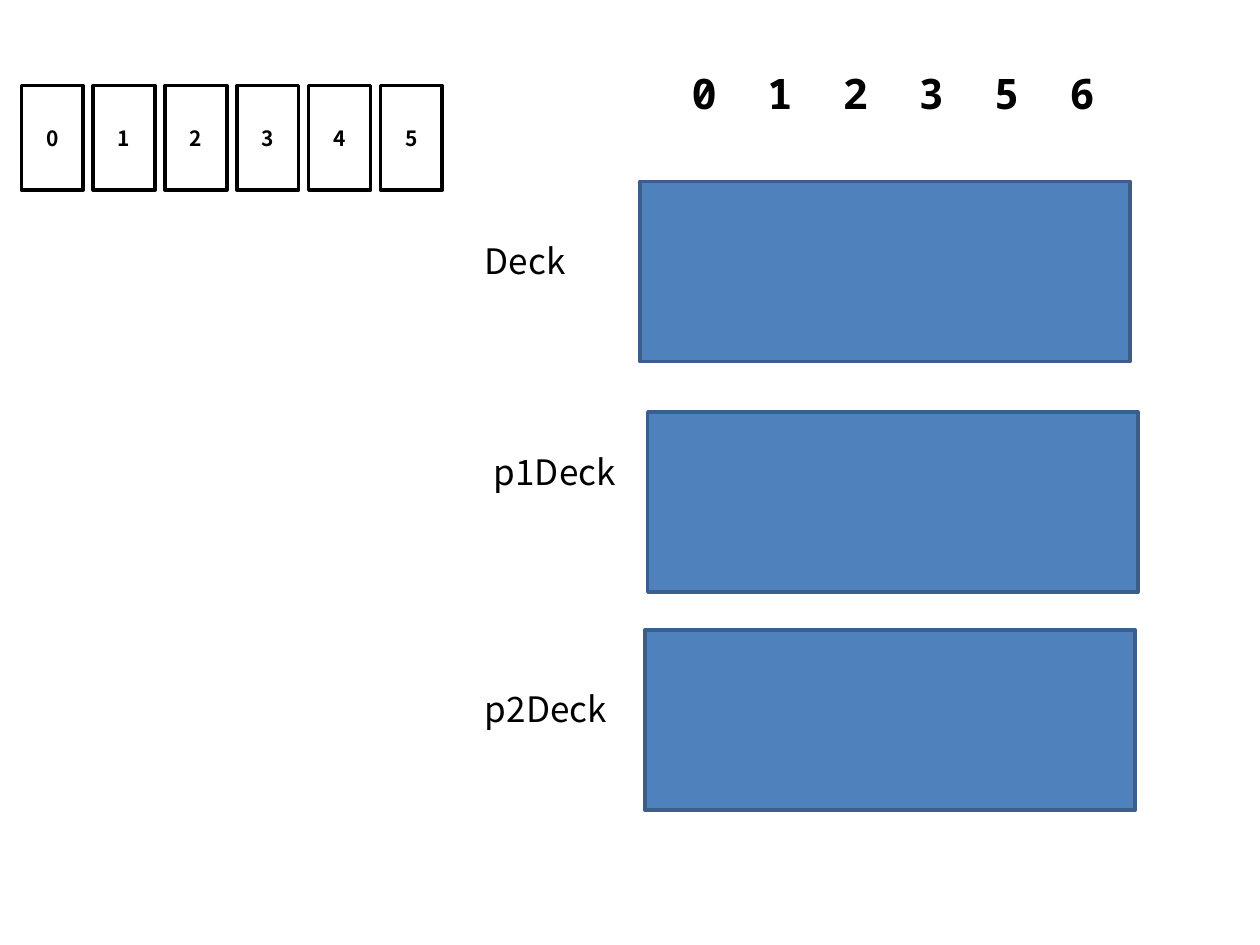
from lxml.etree import SubElement
from pptx import Presentation
from pptx.dml.color import RGBColor
from pptx.enum.shapes import MSO_SHAPE as SHAPE
from pptx.enum.text import MSO_ANCHOR as ANCHOR, MSO_AUTO_SIZE as AUTO, PP_ALIGN as ALIGN
from pptx.oxml.ns import qn
from pptx.util import Inches, Pt

SANS, MONO = "Noto Sans CJK KR", "Noto Sans Mono"
CARD_LEFT, CARD_TOP, CARD_PITCH = 0.17, 0.68, 0.57
CARD_SIZE = 0.49, 0.83
DECK_SIZE = 3.89, 1.43
INDEX_PITCH = 0.6
DECKS = [
    ("Deck", (3.75, 1.85, 1), (5.08, 1.44)),
    ("p1Deck", (3.82, 3.53, 1.39), (5.14, 3.27)),
    ("p2Deck", (3.75, 5.41, 1.39), (5.12, 5)),
]


def rgb(value):
    """Turn a hex string into a colour."""
    return RGBColor.from_string(value)


def set_font(p, name, size, bold=False):
    """Set the black font of a whole paragraph."""
    font = p.font
    font.name, font.size, font.bold = name, Pt(size), bold
    font.color.rgb = rgb("000000")


def add_box(s, x, y, w, h, fill, line):
    """Add a rectangle with a flat fill and a 2 pt outline."""
    sp = s.shapes.add_shape(SHAPE.RECTANGLE, *map(Inches, (x, y, w, h)))
    sp.shadow.inherit = False
    sp.fill.solid()
    sp.fill.fore_color.rgb = rgb(fill)
    sp.line.color.rgb = rgb(line)
    sp.line.width = Pt(2)
    return sp


def add_card(s, number):
    """Add one numbered card at its place in the row."""
    x = CARD_LEFT + number * CARD_PITCH
    tf = add_box(s, x, CARD_TOP, *CARD_SIZE, "FFFFFF", "000000").text_frame
    tf.vertical_anchor = ANCHOR.MIDDLE
    p = tf.paragraphs[0]
    p.text = str(number)
    p.alignment = ALIGN.CENTER
    set_font(p, SANS, 12, True)


def add_label(s, text, x, y, w):
    """Add the name of a deck."""
    tf = s.shapes.add_textbox(*map(Inches, (x, y, w, 0.66))).text_frame
    tf.word_wrap = False
    tf.auto_size = AUTO.SHAPE_TO_FIT_TEXT
    p = tf.paragraphs[0]
    p.text = text
    set_font(p, SANS, 20)


def add_indices(s, numbers):
    """Add the row of indices, spread by equal tab stops."""
    tf = s.shapes.add_textbox(*map(Inches, (5.19, 0.49, 4.5, 0.76))).text_frame
    tf.word_wrap = True
    tf.margin_left = Inches(0.3)
    p = tf.paragraphs[0]
    p.text = "\t".join(numbers)
    tabs = SubElement(p._p.get_or_add_pPr(), qn("a:tabLst"))
    for i in range(1, len(numbers)):
        SubElement(tabs, qn("a:tab"), pos=str(Inches(i * INDEX_PITCH)), algn="l")
    set_font(p, MONO, 24, True)


def main():
    """Build the slide and save it."""
    prs = Presentation()
    prs.slide_width, prs.slide_height = Inches(10), Inches(7.5)
    s = prs.slides.add_slide(prs.slide_layouts[6])
    for number in range(6):
        add_card(s, number)
    add_indices(s, "012356")
    for name, label_at, deck_at in DECKS:
        add_box(s, *deck_at, *DECK_SIZE, "4F81BD", "3A5F8C")
        add_label(s, name, *label_at)
    prs.save("out.pptx")


if __name__ == "__main__":
    main()
